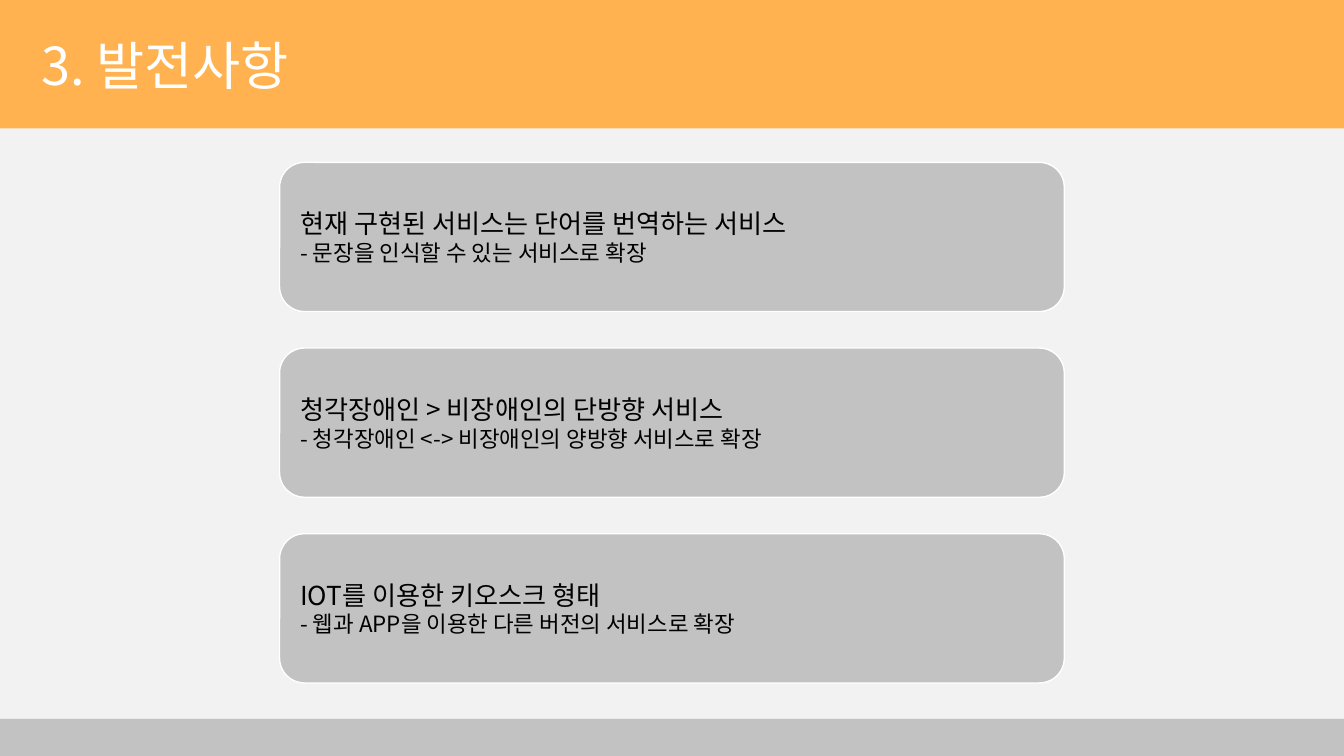
from dataclasses import dataclass

from lxml import etree
from pptx import Presentation
from pptx.dml.color import RGBColor
from pptx.enum.shapes import MSO_SHAPE
from pptx.enum.text import MSO_ANCHOR, PP_ALIGN
from pptx.oxml.ns import qn
from pptx.util import Cm, Pt

RECTANGLE = MSO_SHAPE.RECTANGLE
ROUNDED = MSO_SHAPE.ROUNDED_RECTANGLE
TOP, MIDDLE = MSO_ANCHOR.TOP, MSO_ANCHOR.MIDDLE
LEFT = PP_ALIGN.LEFT


@dataclass(frozen=True)
class Theme:
    font: str = "Noto Sans CJK KR"
    background: str = "F2F2F2"
    accent: str = "FFB24F"
    gray: str = "C2C2C2"
    white: str = "FFFFFF"
    black: str = "000000"
    title_size: float = 28
    heading_size: float = 14
    detail_size: float = 12


class SlideBuilder:
    def __init__(self, slide, theme):
        self.slide = slide
        self.theme = theme
        fill = slide.background.fill
        fill.solid()
        fill.fore_color.rgb = RGBColor.from_string(theme.background)

    def panel(self, kind, left, top, width, height, color):
        shape = self.slide.shapes.add_shape(
            kind, Cm(left), Cm(top), Cm(width), Cm(height))
        shape.shadow.inherit = False
        shape.fill.solid()
        shape.fill.fore_color.rgb = RGBColor.from_string(color)
        shape.line.fill.background()
        return shape

    def add_lines(self, box, lines, color, anchor):
        """Fill a box with (text, size) lines, one paragraph each."""
        frame = box.text_frame
        frame.word_wrap = True
        frame.vertical_anchor = anchor
        frame.margin_left = frame.margin_right = Cm(0.25)
        frame.margin_top = frame.margin_bottom = Cm(0.25)
        for index, (text, size) in enumerate(lines):
            para = frame.add_paragraph() if index else frame.paragraphs[0]
            para.alignment = LEFT
            span = para.add_run()
            span.text = text
            span.font.size = Pt(size)
            span.font.color.rgb = RGBColor.from_string(color)
            span.font.name = self.theme.font
            # Korean glyphs take the East Asian typeface
            east_asian = etree.SubElement(span.font._element, qn("a:ea"))
            east_asian.set("typeface", self.theme.font)

    def title(self, text, left, top, width, height):
        box = self.slide.shapes.add_textbox(
            Cm(left), Cm(top), Cm(width), Cm(height))
        lines = [(text, self.theme.title_size)]
        self.add_lines(box, lines, self.theme.white, TOP)

    def card(self, heading, detail, left, top, width, height):
        theme = self.theme
        box = self.panel(ROUNDED, left, top, width, height, theme.gray)
        box.adjustments[0] = 0.167
        box.line.color.rgb = RGBColor.from_string(theme.white)
        box.line.width = Pt(0.75)
        lines = [(heading, theme.heading_size), (detail, theme.detail_size)]
        self.add_lines(box, lines, theme.black, MIDDLE)


PAGE_WIDTH, PAGE_HEIGHT = 25.4, 14.29
HEADER_HEIGHT, FOOTER_HEIGHT = 2.43, 0.7
CARD_WIDTH, CARD_HEIGHT = 14.83, 2.82
CARD_TOP, CARD_PITCH = 3.07, 3.51

CARDS = [
    ("현재 구현된 서비스는 단어를 번역하는 서비스",
     "- 문장을 인식할 수 있는 서비스로 확장"),
    ("청각장애인 > 비장애인의 단방향 서비스",
     "- 청각장애인 <-> 비장애인의 양방향 서비스로 확장"),
    ("IOT를 이용한 키오스크 형태",
     "- 웹과 APP을 이용한 다른 버전의 서비스로 확장"),
]


def main():
    deck = Presentation()
    deck.slide_width, deck.slide_height = Cm(PAGE_WIDTH), Cm(PAGE_HEIGHT)
    theme = Theme()
    page = SlideBuilder(deck.slides.add_slide(deck.slide_layouts[6]), theme)

    # Header and footer bands
    page.panel(RECTANGLE, 0, 0, PAGE_WIDTH, HEADER_HEIGHT, theme.accent)
    page.panel(RECTANGLE, 0, PAGE_HEIGHT - FOOTER_HEIGHT,
               PAGE_WIDTH, FOOTER_HEIGHT, theme.gray)
    page.title("3. 발전사항", 0.53, 0.38, 17.12, 1.7)

    # Improvement cards, centred on the page
    card_left = (PAGE_WIDTH - CARD_WIDTH) / 2
    for row, (heading, detail) in enumerate(CARDS):
        page.card(heading, detail, card_left, CARD_TOP + row * CARD_PITCH,
                  CARD_WIDTH, CARD_HEIGHT)

    deck.save("out.pptx")


if __name__ == "__main__":
    main()
